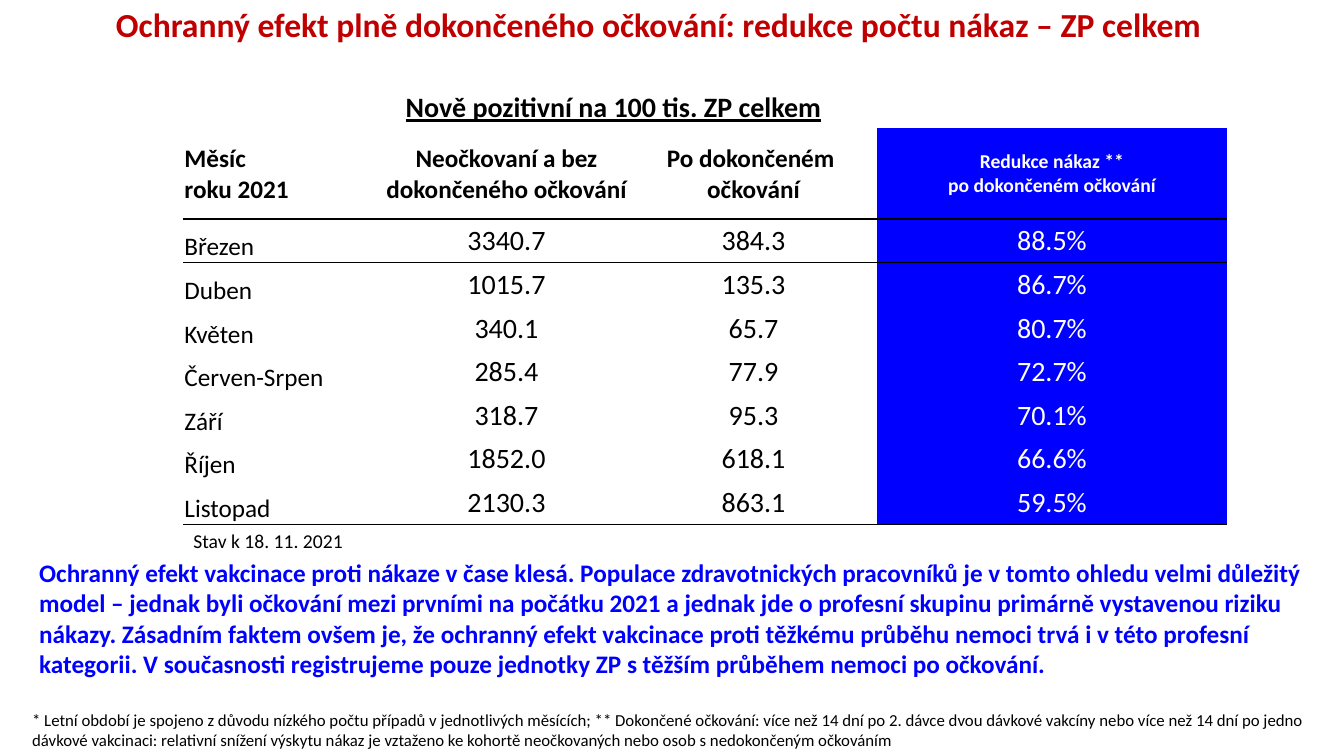
from dataclasses import dataclass

from lxml import etree
from pptx import Presentation, util as u
from pptx.dml.color import RGBColor
from pptx.enum import text
from pptx.oxml import ns


@dataclass(frozen=True)
class Theme:
    font: str = "Calibri"
    ink: str = "000000"
    title: str = "C00000"
    accent: str = "0000FF"
    inverse: str = "FFFFFF"
    title_size: int = 24
    figure_size: int = 20
    body_size: int = 18
    label_size: int = 14
    note_size: int = 12


THEME = Theme()
SLIDE_WIDTH, SLIDE_HEIGHT = u.Inches(13.33), u.Inches(7.5)
NO_STYLE = "{2D5ABB26-0587-4C30-8999-92F81FD0307C}"
LEFT, CENTER = text.PP_ALIGN.LEFT, text.PP_ALIGN.CENTER
MIDDLE, BOTTOM = text.MSO_ANCHOR.MIDDLE, text.MSO_ANCHOR.BOTTOM

# Table geometry in percent of the slide
TABLE_LEFT, TABLE_TOP = 13.65, 11.2
COLUMN_WIDTHS = (14.85, 18.38, 18.38, 26.03)
HEADER_HEIGHT, MONTH_HEIGHT = 12, 5.77

HEADINGS = (
    "Měsíc\nroku 2021",
    "Neočkovaní a bez dokončeného očkování",
    "Po dokončeném \nočkování",
    "Redukce nákaz **\npo dokončeném očkování",
)
MONTHS = (
    ("Březen", "3340.7", "384.3", "88.5%"),
    ("Duben", "1015.7", "135.3", "86.7%"),
    ("Květen", "340.1", "65.7", "80.7%"),
    ("Červen-Srpen", "285.4", "77.9", "72.7%"),
    ("Září", "318.7", "95.3", "70.1%"),
    ("Říjen", "1852.0", "618.1", "66.6%"),
    ("Listopad", "2130.3", "863.1", "59.5%"),
)
CONCLUSION = (
    "Ochranný efekt vakcinace proti nákaze v čase klesá. Populace zdravotnických "
    "pracovníků je v tomto ohledu velmi důležitý model – jednak byli očkování mezi "
    "prvními na počátku 2021 a jednak jde o profesní skupinu primárně vystavenou riziku "
    "nákazy. Zásadním faktem ovšem je, že ochranný efekt vakcinace proti těžkému průběhu "
    "nemoci trvá i v této profesní kategorii. V současnosti registrujeme pouze jednotky "
    "ZP s těžším průběhem nemoci po očkování."
)
FOOTNOTE = (
    "* Letní období je spojeno z důvodu nízkého počtu případů v jednotlivých měsících; "
    "** Dokončené očkování: více než 14 dní po 2. dávce dvou dávkové vakcíny nebo více "
    "než 14 dní po jedno dávkové vakcinaci: relativní snížení výskytu nákaz je vztaženo "
    "ke kohortě neočkovaných nebo osob s nedokončeným očkováním"
)


def across(percent):
    return round(SLIDE_WIDTH * percent / 100)


def down(percent):
    return round(SLIDE_HEIGHT * percent / 100)


def write(frame, content, size, color=THEME.ink, bold=False, underline=False,
          align=LEFT, spacing=None):
    """Fill a text frame, one paragraph per line of content."""
    frame.word_wrap = True
    for index, line in enumerate(content.split("\n")):
        paragraph = frame.add_paragraph() if index else frame.paragraphs[0]
        paragraph.alignment = align
        paragraph.line_spacing = spacing
        run = paragraph.add_run()
        run.text = line
        run.font.name = THEME.font
        run.font.size = u.Pt(size)
        run.font.bold = bold
        run.font.underline = underline
        run.font.color.rgb = RGBColor.from_string(color)


def add_text(slide, left, top, width, height, content, size, **style):
    """Add a text box placed in percent of the slide."""
    box = slide.shapes.add_textbox(across(left), down(top), across(width), down(height))
    write(box.text_frame, content, size, **style)


def rule_cell(cell, side):
    """Draw a thin line on side T or B of a cell; call before filling it."""
    line = etree.SubElement(cell._tc.get_or_add_tcPr(), ns.qn(f"a:ln{side}"), w=str(u.Pt(1)))
    fill = etree.SubElement(line, ns.qn("a:solidFill"))
    etree.SubElement(fill, ns.qn("a:srgbClr"), val=THEME.ink)


def format_cell(cell, filled, anchor=MIDDLE, rules=""):
    cell.margin_left = cell.margin_right = cell.margin_top = u.Inches(0.01)
    cell.margin_bottom = 0
    cell.vertical_anchor = anchor
    for side in rules:
        rule_cell(cell, side)
    if filled:
        cell.fill.solid()
        cell.fill.fore_color.rgb = RGBColor.from_string(THEME.accent)
    else:
        cell.fill.background()


def add_infection_table(slide):
    heights = (MONTH_HEIGHT, HEADER_HEIGHT) + (MONTH_HEIGHT,) * len(MONTHS)
    table = slide.shapes.add_table(
        len(heights), len(COLUMN_WIDTHS), across(TABLE_LEFT), down(TABLE_TOP),
        across(sum(COLUMN_WIDTHS)), down(sum(heights))).table
    table.first_row = table.horz_banding = False
    table._tbl.tblPr.find(ns.qn("a:tableStyleId")).text = NO_STYLE
    for column, width in zip(table.columns, COLUMN_WIDTHS):
        column.width = across(width)
    for row, height in zip(table.rows, heights):
        row.height = down(height)

    reduction = len(COLUMN_WIDTHS) - 1
    for cell in table.rows[0].cells:
        format_cell(cell, filled=False)
    table.cell(0, 2).merge(table.cell(0, 3))

    for column, heading in enumerate(HEADINGS):
        cell, filled = table.cell(1, column), column == reduction
        format_cell(cell, filled, rules="B")
        write(cell.text_frame, heading, THEME.label_size if filled else THEME.body_size,
              color=THEME.inverse if filled else THEME.ink, bold=True,
              align=CENTER if column else LEFT)

    for row, month in enumerate(MONTHS, start=2):
        rules = {2: "T", len(heights) - 1: "B"}.get(row, "")
        for column, value in enumerate(month):
            cell, filled = table.cell(row, column), column == reduction
            format_cell(cell, filled, MIDDLE if column else BOTTOM, rules)
            write(cell.text_frame, value, THEME.figure_size if column else THEME.body_size,
                  color=THEME.inverse if filled else THEME.ink,
                  align=CENTER if column else LEFT)


def main():
    deck = Presentation()
    deck.slide_width, deck.slide_height = SLIDE_WIDTH, SLIDE_HEIGHT
    slide = deck.slides.add_slide(deck.slide_layouts[6])
    add_text(slide, 1.65, 0.53, 95.27, 19.33,
             "Ochranný efekt plně dokončeného očkování: redukce počtu nákaz – ZP celkem ",
             THEME.title_size, color=THEME.title, bold=True, align=CENTER, spacing=0.9)
    add_text(slide, 29.03, TABLE_TOP, 33.23, 5.87, "Nově pozitivní na 100 tis. ZP celkem",
             THEME.figure_size, bold=True, underline=True, align=CENTER)
    add_text(slide, 1.65, 93.2, 97.45, 6.67, FOOTNOTE, THEME.note_size)
    add_infection_table(slide)
    add_text(slide, TABLE_LEFT, 69.33, 16.58, 4.53, "Stav k 18. 11. 2021", THEME.label_size)
    add_text(slide, 2.18, 73.07, 96.55, 17.47, CONCLUSION, THEME.body_size,
             color=THEME.accent, bold=True)
    deck.save("out.pptx")


if __name__ == "__main__":
    main()
